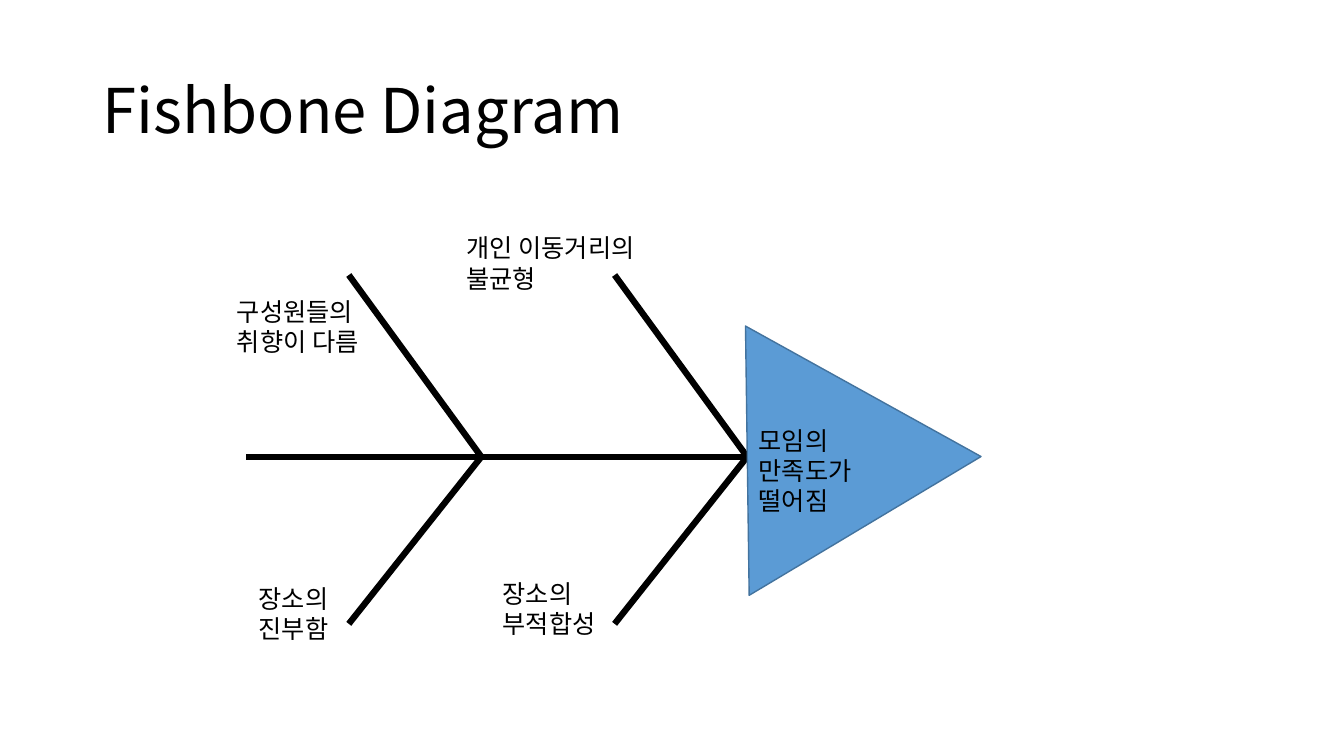
from lxml import etree
from pptx import Presentation
from pptx.dml.color import RGBColor
from pptx.enum.shapes import MSO_CONNECTOR, MSO_SHAPE
from pptx.enum.text import MSO_ANCHOR, MSO_AUTO_SIZE, PP_ALIGN
from pptx.oxml.ns import qn
from pptx.util import Cm, Pt

STRAIGHT = MSO_CONNECTOR.STRAIGHT
TRIANGLE = MSO_SHAPE.ISOSCELES_TRIANGLE
MIDDLE = MSO_ANCHOR.MIDDLE
NO_AUTOFIT = MSO_AUTO_SIZE.NONE
GROW = MSO_AUTO_SIZE.SHAPE_TO_FIT_TEXT
LEFT = PP_ALIGN.LEFT

BLACK = RGBColor(0x00, 0x00, 0x00)
HEAD_BLUE = RGBColor(0x5B, 0x9B, 0xD5)
HEAD_EDGE = RGBColor(0x43, 0x73, 0x9E)
FONT = "Noto Sans CJK KR"

TITLE_ONLY = 5
SPINE_LEFT = 6.2
SPINE_Y = 11.51
JOINTS = (12.13, 18.83)
BONE_REACH = 3.34
BONE_ENDS = (6.93, 15.72)

LABELS = (
    ("구성원들의 취향이 다름", 5.72, 7.34, 4.5),
    ("개인 이동거리의 불균형", 11.51, 5.74, 5.66),
    ("장소의 진부함", 6.27, 14.58, 2.62),
    ("장소의 부적합성", 12.42, 14.45, 3.1),
    ("모임의 만족도가 떨어짐", 18.87, 10.59, 4.32),
)


def add_span(para, text, size):
    span = para.add_run()
    span.text = text
    span.font.size = Pt(size)
    span.font.name = FONT
    span.font.color.rgb = BLACK
    east_asian = etree.SubElement(span.font._element, qn("a:ea"))
    east_asian.set("typeface", FONT)


def add_title(page, text):
    title = page.shapes.title
    title.left, title.top = Cm(2.33), Cm(1.01)
    title.width, title.height = Cm(29.21), Cm(3.68)
    frame = title.text_frame
    frame.auto_size = NO_AUTOFIT
    frame.vertical_anchor = MIDDLE
    para = frame.paragraphs[0]
    para.alignment = LEFT
    para.line_spacing = 0.9
    add_span(para, text, 44)


def add_bone(page, start_x, start_y, end_x, end_y):
    bone = page.shapes.add_connector(
        STRAIGHT, Cm(start_x), Cm(start_y), Cm(end_x), Cm(end_y)
    )
    bone.line.color.rgb = BLACK
    bone.line.width = Pt(4.5)
    etree.SubElement(bone._element.spPr, qn("a:effectLst"))


def add_head(page):
    head = page.shapes.add_shape(TRIANGLE, Cm(16.89), Cm(7.8), Cm(6.81), Cm(5.87))
    head.rotation = 329.1
    head.shadow.inherit = False
    head.fill.solid()
    head.fill.fore_color.rgb = HEAD_BLUE
    head.line.color.rgb = HEAD_EDGE
    head.line.width = Pt(1)


def add_label(page, text, left, top, width):
    box = page.shapes.add_textbox(Cm(left), Cm(top), Cm(width), Cm(1.8))
    frame = box.text_frame
    frame.word_wrap = True
    frame.auto_size = GROW
    add_span(frame.paragraphs[0], text, 18)


def main():
    deck = Presentation()
    deck.slide_width, deck.slide_height = Cm(33.87), Cm(19.05)
    page = deck.slides.add_slide(deck.slide_layouts[TITLE_ONLY])

    add_title(page, "Fishbone Diagram")
    add_bone(page, SPINE_LEFT, SPINE_Y, JOINTS[-1], SPINE_Y)
    for joint in JOINTS:
        for bone_end in BONE_ENDS:
            add_bone(page, joint, SPINE_Y, joint - BONE_REACH, bone_end)
    add_head(page)
    for label in LABELS:
        add_label(page, *label)

    deck.save("out.pptx")


main()
